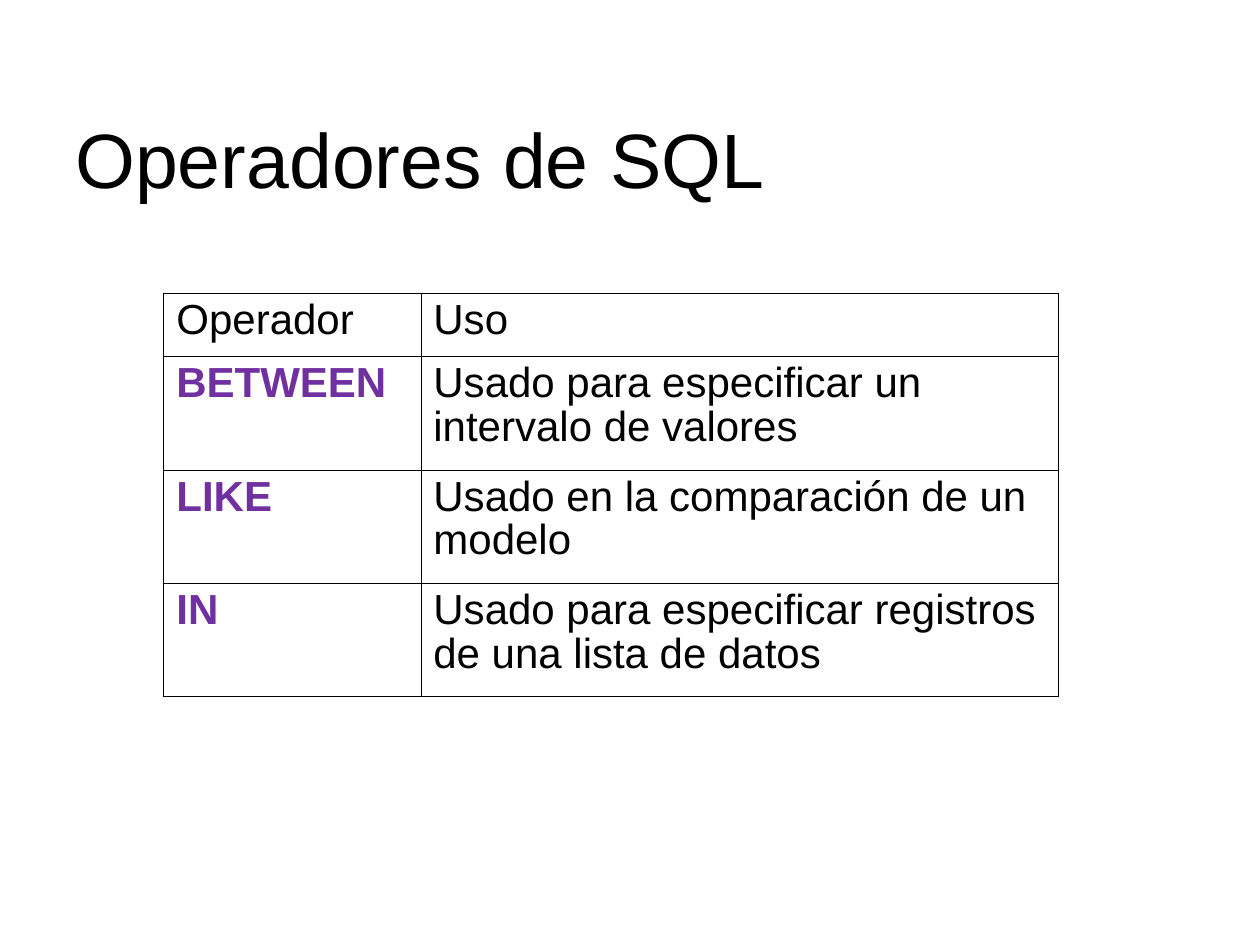
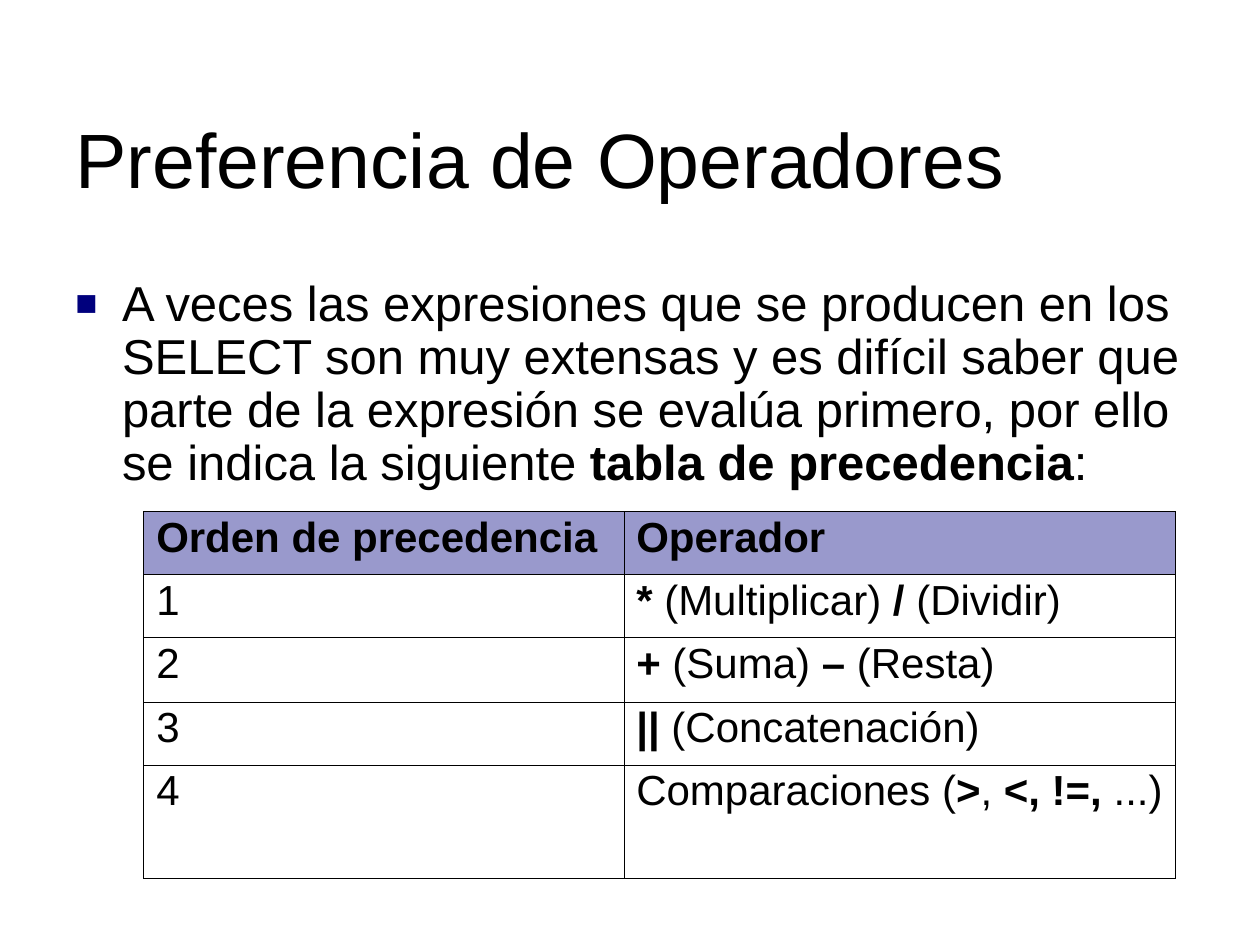
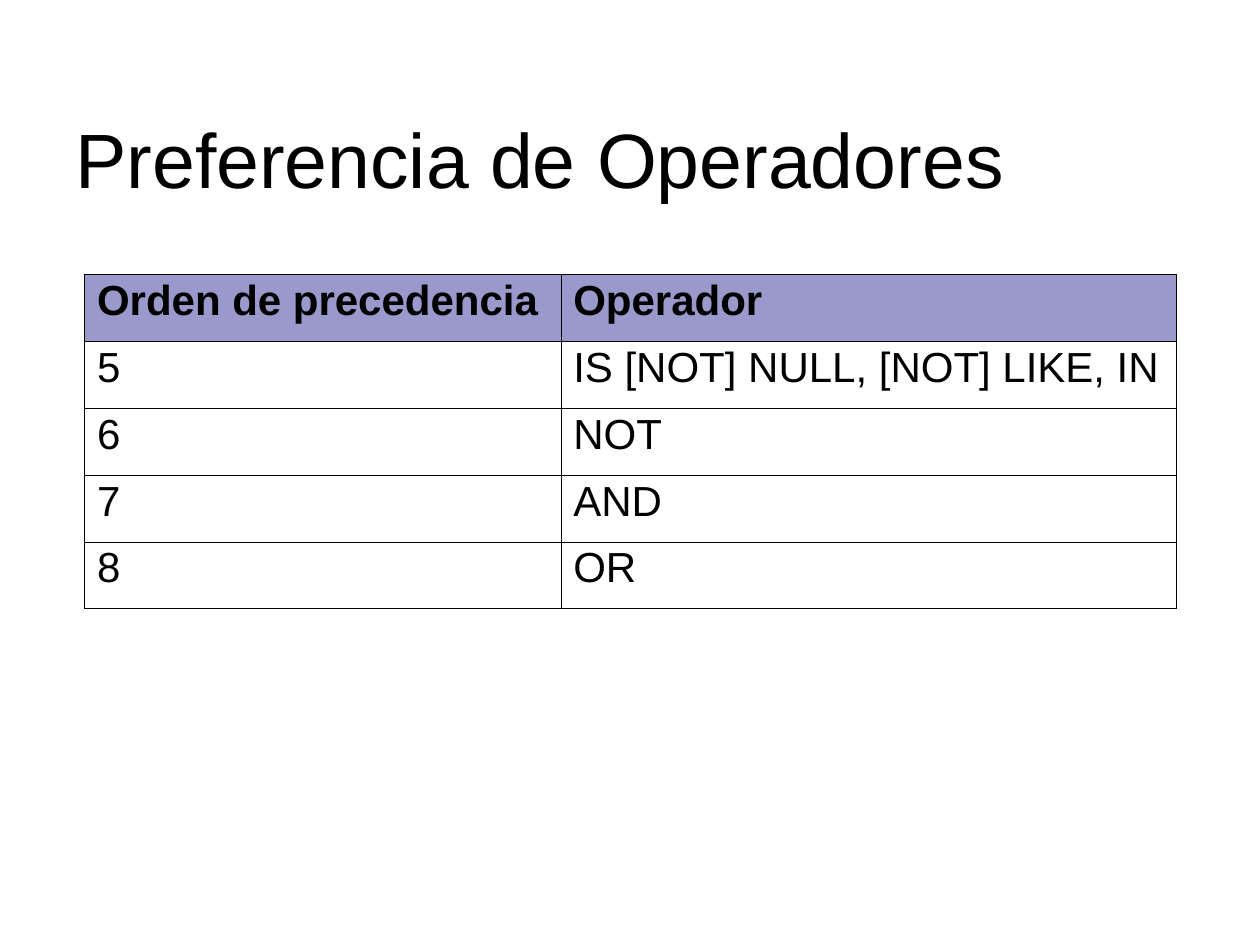
from lxml import etree
from pptx import Presentation
from pptx import util as u
from pptx.dml.color import RGBColor
from pptx.enum import text
from pptx.oxml import ns

FONT = "Arial"
COLORS = {"ink": "000000", "word": "7030A0", "head": "9999CC", "mark": "00007D"}
THICK, THIN = 0.5, 0.23
TITLE = (0.5, 0.5, 9, 1.5)
HEAD = ("Orden de precedencia", "Operador")


def color(name):
    return RGBColor.from_string(COLORS[name])


def add(parent, tag, **attrs):
    return etree.SubElement(parent, ns.qn(tag), attrs)


def write(par, parts, size, bold=False, ink="ink"):
    """Fill a paragraph; a tuple of parts alternates plain and bold runs."""
    mixed = isinstance(parts, tuple)
    for i, part in enumerate(parts if mixed else (parts,)):
        if part:
            run = par.add_run()
            run.text = part
            if mixed:
                run.font.bold = i % 2 == 1
    font = par.font
    font.name, font.size = FONT, u.Pt(size)
    font.color.rgb = color(ink)
    if not mixed:
        font.bold = bold


def add_box(slide, box):
    frame = slide.shapes.add_textbox(*map(u.Inches, box)).text_frame
    frame.word_wrap = True
    return frame


def add_title(slide, words, box=TITLE):
    frame = add_box(slide, box)
    frame.vertical_anchor = text.MSO_ANCHOR.MIDDLE
    write(frame.paragraphs[0], words, 44)


def add_point(slide, parts, box):
    par = add_box(slide, box).paragraphs[0]
    par.line_spacing = 0.9
    props = par._p.get_or_add_pPr()
    props.set("marL", str(u.Inches(0.37)))
    props.set("indent", str(u.Inches(-0.37)))
    add(add(props, "a:buClr"), "a:srgbClr", val=COLORS["mark"])
    add(props, "a:buSzPct", val="75000")
    add(props, "a:buFont", typeface=FONT)
    add(props, "a:buChar", char="■")
    write(par, parts, 28)


def add_edges(cell, outer):
    """Draw the four borders, thick on the sides named in outer."""
    props = cell._tc.get_or_add_tcPr()
    for side in "LRTB":
        width = u.Pt(THICK if side in outer else THIN)
        line = add(props, f"a:ln{side}", w=str(width))
        add(add(line, "a:solidFill"), "a:srgbClr", val=COLORS["ink"])


def add_grid(slide, rows, spot, widths, heights, shade=True):
    """Place a table; shade gives a filled bold head, else the first column stands out."""
    box = (*spot, sum(widths), sum(heights))
    table = slide.shapes.add_table(
        len(rows), len(widths), *map(u.Inches, box)).table
    table.first_row = table.horz_banding = False
    for col, width in zip(table.columns, widths):
        col.width = u.Inches(width)
    for r, (row, height) in enumerate(zip(rows, heights)):
        table.rows[r].height = u.Inches(height)
        for c, parts in enumerate(row):
            cell = table.cell(r, c)
            ends = {"L": c == 0, "R": c == len(widths) - 1,
                    "T": r == 0, "B": r == len(rows) - 1}
            add_edges(cell, [side for side, end in ends.items() if end])
            if shade and r == 0:
                cell.fill.solid()
                cell.fill.fore_color.rgb = color("head")
            else:
                cell.fill.background()
            key = not shade and r > 0 and c == 0
            par = cell.text_frame.paragraphs[0]
            par.line_spacing = 0.93
            write(par, parts, 24, bold=key or (shade and r == 0),
                  ink="word" if key else "ink")


def main():
    deck = Presentation()
    deck.slide_width, deck.slide_height = u.Inches(10), u.Inches(7.5)

    def start(title):
        slide = deck.slides.add_slide(deck.slide_layouts[6])
        add_title(slide, title)
        return slide

    slide = start("Operadores de SQL")
    uses = [
        ("Operador", "Uso"),
        ("BETWEEN", "Usado para especificar un intervalo de valores"),
        ("LIKE", "Usado en la comparación de un modelo"),
        ("IN", "Usado para especificar registros de una lista de datos"),
    ]
    add_grid(slide, uses, (1.3, 2.33), (2.04, 5.06), [0.5] + [0.9] * 3, shade=False)

    slide = start("Preferencia de Operadores")
    add_point(slide, (
        "A veces las expresiones que se producen en los SELECT son muy extensas "
        "y es difícil saber que parte de la expresión se evalúa primero, por ello "
        "se indica la siguiente ", "tabla de precedencia", ":"),
        (0.5, 2.17, 8.99, 2.76))
    first = [
        HEAD,
        ("1", ("", "*", " (Multiplicar) ", "/", " (Dividir)")),
        ("2", ("", "+", " (Suma) ", "–", " (Resta)")),
        ("3", ("", "||", " (Concatenación)")),
        ("4", ("Comparaciones (", ">", ", ", "<, !=,", " ...)")),
    ]
    add_grid(slide, first, (1.14, 4.06), (3.81, 4.38), [0.5, 0.5, 0.51, 0.5, 0.9])

    slide = start("Preferencia de Operadores")
    last = [HEAD, ("5", "IS [NOT] NULL, [NOT] LIKE, IN"),
            ("6", "NOT"), ("7", "AND"), ("8", "OR")]
    add_grid(slide, last, (0.67, 2.18), (3.78, 4.89), [0.53] * 5)

    deck.save("out.pptx")


if __name__ == "__main__":
    main()
